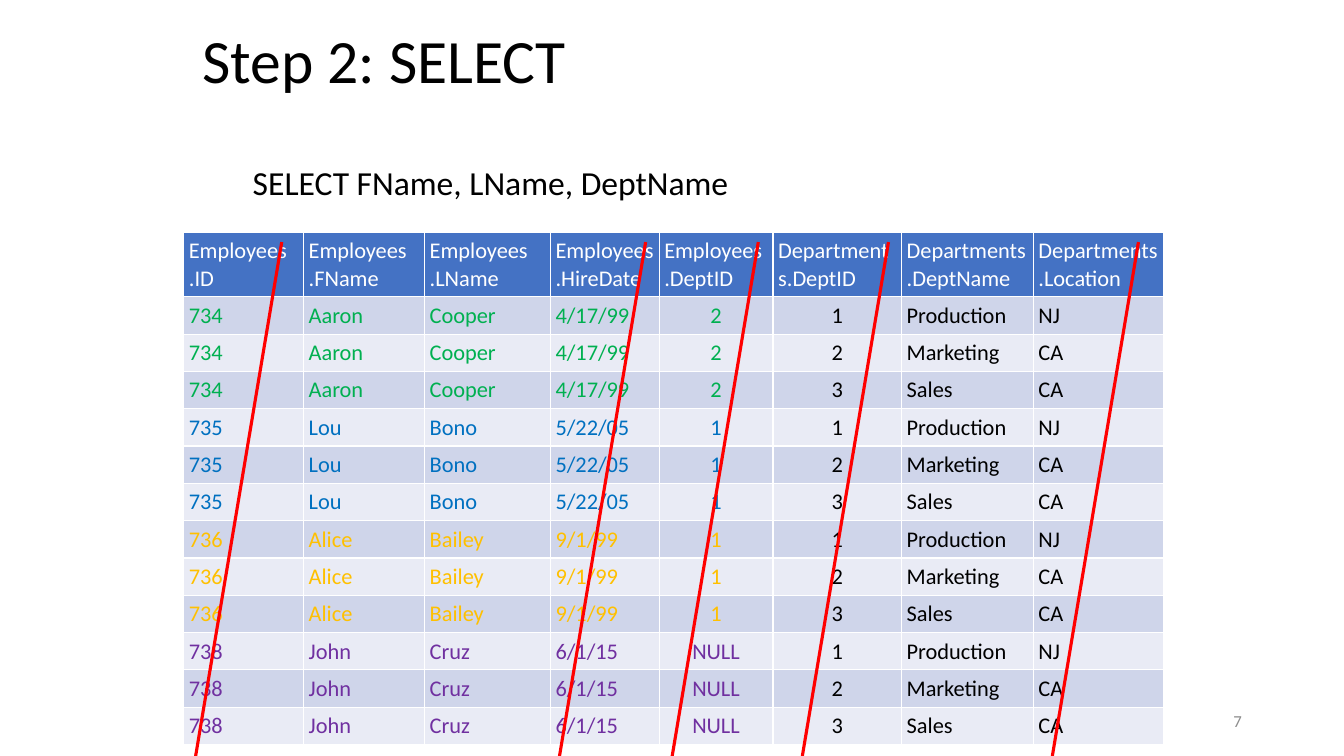
from lxml import etree
from pptx import Presentation
from pptx import util as u
from pptx.dml.color import RGBColor
from pptx.enum import shapes, text
from pptx.oxml import ns

BLACK = RGBColor(0x00, 0x00, 0x00)
WHITE = RGBColor(0xFF, 0xFF, 0xFF)
GRAY = RGBColor(0x8C, 0x8C, 0x8C)
RED = RGBColor(0xFF, 0x00, 0x00)
GREEN = RGBColor(0x00, 0xB0, 0x50)
BLUE = RGBColor(0x00, 0x70, 0xC0)
GOLD = RGBColor(0xFF, 0xC0, 0x00)
PURPLE = RGBColor(0x70, 0x30, 0xA0)
HEADER_FILL = RGBColor(0x44, 0x72, 0xC4)
BAND_FILLS = (RGBColor(0xCF, 0xD5, 0xEA), RGBColor(0xE9, 0xEB, 0xF5))

LEFT, CENTER, RIGHT = text.PP_ALIGN.LEFT, text.PP_ALIGN.CENTER, text.PP_ALIGN.RIGHT

HEADERS = ["Employees\n.ID", "Employees\n.FName", "Employees\n.LName", "Employees.HireDate",
           "Employees\n.DeptID", "Departments.DeptID", "Departments.DeptName",
           "Departments.Location"]
COLUMN_WIDTHS = [3.02, 3.05, 3.17, 2.74, 2.87, 3.24, 3.32, 3.28]
CENTERED_COLUMNS = (4, 5)
EMPLOYEES = [
    (["734", "Aaron", "Cooper", "4/17/99", "2"], GREEN),
    (["735", "Lou", "Bono", "5/22/05", "1"], BLUE),
    (["736", "Alice", "Bailey", "9/1/99", "1"], GOLD),
    (["738", "John", "Cruz", "6/1/15", "NULL"], PURPLE),
]
DEPARTMENTS = [["1", "Production", "NJ"], ["2", "Marketing", "CA"], ["3", "Sales", "CA"]]
STRIKE_STARTS = [4.93, 14.1, 16.94, 20.22, 26.52]


class SlideBuilder:
    """Holds the slide and its font, and adds styled elements measured in centimetres."""

    def __init__(self, presentation, font):
        self.slide = presentation.slides.add_slide(presentation.slide_layouts[5])
        self.font = font

    def style(self, frame, size, color, align=LEFT):
        for paragraph in frame.paragraphs:
            paragraph.alignment = align
            for run in paragraph.runs:
                run.font.name = self.font
                run.font.size = u.Pt(size)
                run.font.bold = False
                run.font.color.rgb = color

    def title(self, words, left, top, width, height):
        shape = self.slide.shapes.title
        shape.left, shape.top = u.Cm(left), u.Cm(top)
        shape.width, shape.height = u.Cm(width), u.Cm(height)
        frame = shape.text_frame
        frame.text = words
        frame.vertical_anchor = text.MSO_ANCHOR.MIDDLE
        frame.paragraphs[0].line_spacing = 0.9
        self.style(frame, 44, BLACK)

    def text_box(self, words, left, top, width, height, size, color, align=LEFT):
        shape = self.slide.shapes.add_textbox(u.Cm(left), u.Cm(top), u.Cm(width), u.Cm(height))
        frame = shape.text_frame
        frame.word_wrap = True
        frame.text = words
        self.style(frame, size, color, align)
        return frame

    def table(self, left, top, widths, header_height, row_height, row_count):
        height = header_height + row_height * row_count
        table = self.slide.shapes.add_table(row_count + 1, len(widths), u.Cm(left), u.Cm(top),
                                            u.Cm(sum(widths)), u.Cm(height)).table
        for column, width in zip(table.columns, widths):
            column.width = u.Cm(width)
        for index, row in enumerate(table.rows):
            row.height = u.Cm(row_height if index else header_height)
        return table

    def cell(self, cell, words, fill, color, align=LEFT):
        cell.text = words
        cell.fill.solid()
        cell.fill.fore_color.rgb = fill
        cell.margin_left = cell.margin_right = u.Cm(0.13)
        cell.margin_top = cell.margin_bottom = u.Cm(0.13)
        self.style(cell.text_frame, 16, color, align)

    def line(self, x1, y1, x2, y2):
        connector = self.slide.shapes.add_connector(
            shapes.MSO_CONNECTOR.STRAIGHT, u.Cm(x1), u.Cm(y1), u.Cm(x2), u.Cm(y2))
        connector.line.color.rgb = RED
        connector.line.width = u.Pt(2.25)
        etree.SubElement(connector._element.spPr, ns.qn("a:effectLst"))


def main():
    presentation = Presentation()
    presentation.slide_width, presentation.slide_height = u.Cm(33.87), u.Cm(19.05)
    builder = SlideBuilder(presentation, "Calibri")

    builder.title("Step 2: SELECT", 4.85, 0.43, 24.33, 2.34)
    number = builder.text_box("7", 23.93, 17.65, 7.62, 1.02, 12, GRAY, RIGHT)
    number.vertical_anchor = text.MSO_ANCHOR.MIDDLE

    records = [(employee + department, color)
               for employee, color in EMPLOYEES for department in DEPARTMENTS]
    table = builder.table(4.63, 5.85, COLUMN_WIDTHS, 1.63, 0.94, len(records))
    for column, header in enumerate(HEADERS):
        builder.cell(table.cell(0, column), header, HEADER_FILL, WHITE)
    for row, (values, employee_color) in enumerate(records):
        for column, value in enumerate(values):
            color = employee_color if column < 5 else BLACK
            align = CENTER if column in CENTERED_COLUMNS else LEFT
            builder.cell(table.cell(row + 1, column), value, BAND_FILLS[row % 2], color, align)

    query = builder.text_box("SELECT FName, LName, DeptName", 4.85, 3.96, 13.94, 1.28, 24, BLACK)
    query.auto_size = text.MSO_AUTO_SIZE.SHAPE_TO_FIT_TEXT
    query.paragraphs[0].level = 1
    query.paragraphs[0]._p.get_or_add_pPr().set("marL", str(u.Cm(1.27)))

    for start in STRIKE_STARTS:
        builder.line(start, 19.05, start + 2.17, 6.1)

    presentation.save("out.pptx")


if __name__ == "__main__":
    main()
